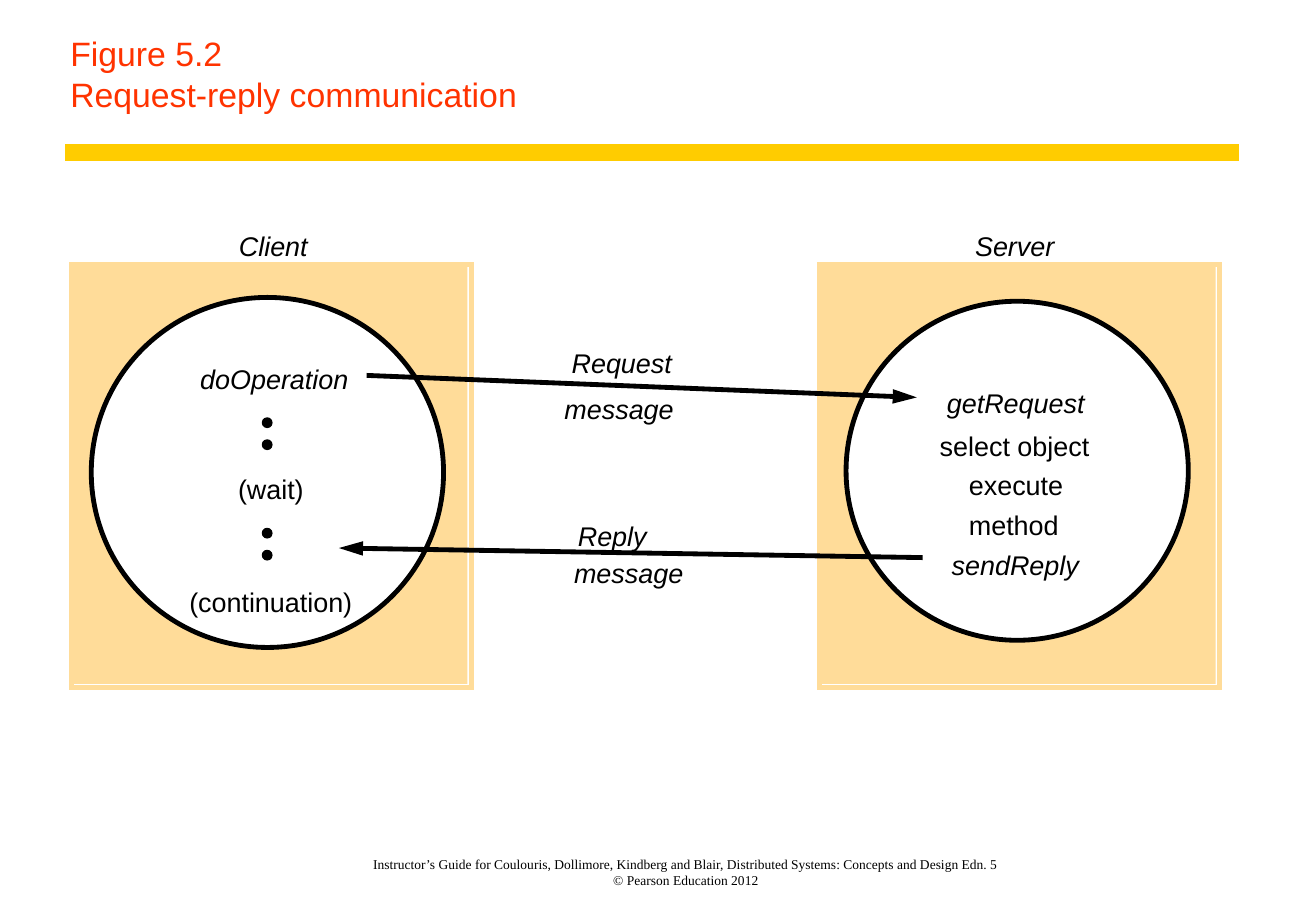
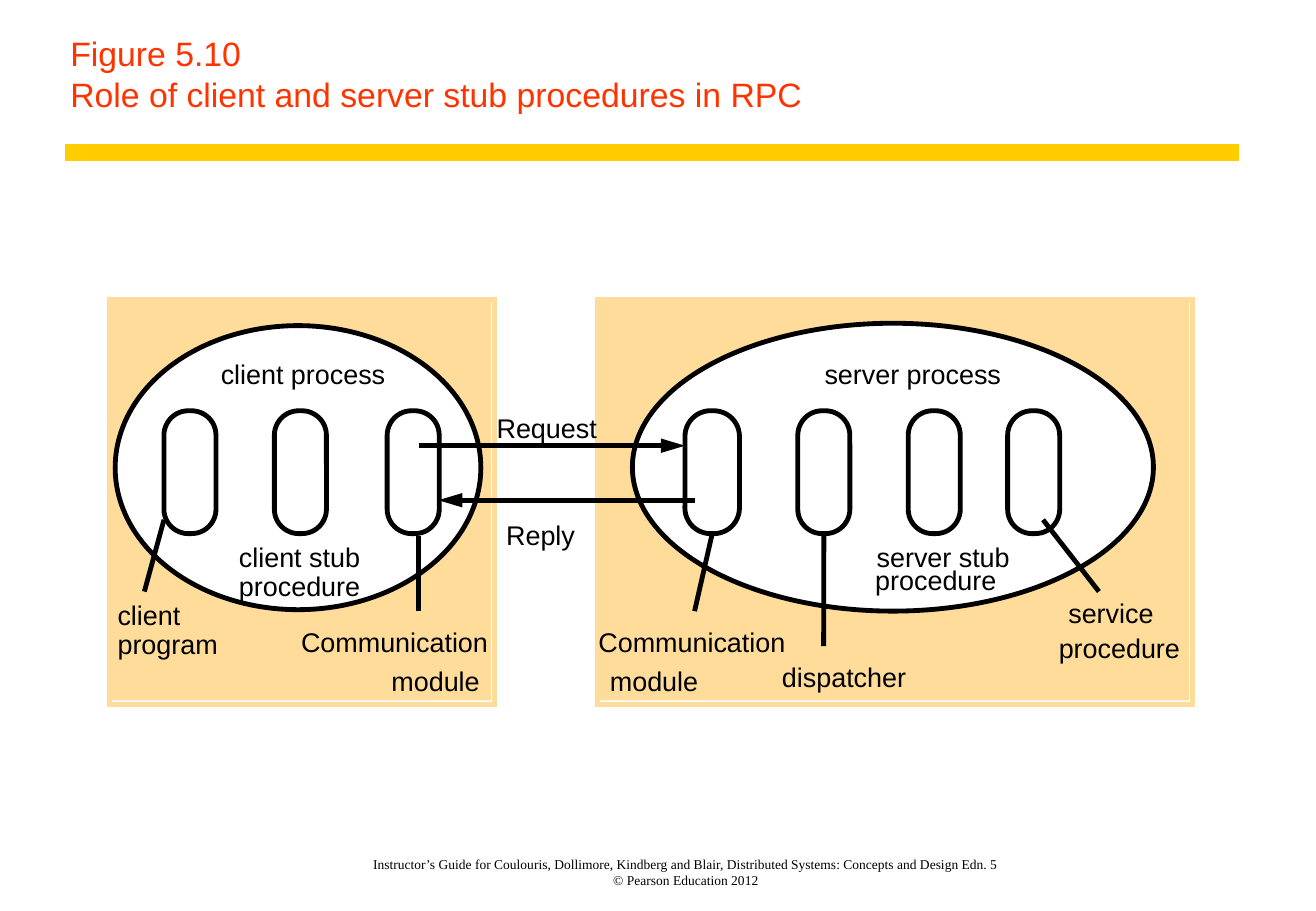
from lxml.etree import SubElement
from pptx import Presentation
from pptx.dml.color import RGBColor
from pptx.enum.shapes import MSO_CONNECTOR as Link, MSO_SHAPE as Kind
from pptx.enum.text import MSO_ANCHOR as Anchor, MSO_AUTO_SIZE as Fit, PP_ALIGN as Align
from pptx.oxml.ns import qn
from pptx.util import Cm, Pt

HUES = {"ink": "000000", "paper": "FFFFFF", "panel": "FFDC99",
        "title": "FF3300", "bar": "FFCC00"}
PEN = 2.86
SLACK = 0.2  # spare label width, so that no word breaks
FOOT = ("Instructor’s Guide for Coulouris, Dollimore, Kindberg and Blair, "
        "Distributed Systems: Concepts and Design Edn. 5\v"
        "© Pearson Education 2012")

# Content: lengths in cm; boxes are left, top, width, height
# Labels are text, left, top, width, italic; lines are start, end
CALL = {
    "title": "Figure 5.2\vRequest-reply communication",
    "panels": [(1.5, 5.54, 8.28, 8.76), (17.15, 5.54, 8.28, 8.76)],
    "ovals": [(1.91, 6.22, 7.37, 7.32), (17.7, 6.3, 7.16, 7.09)],
    "labels": [
        ("Client", 5, 4.8, 1.45, True),
        ("doOperation", 4.19, 7.59, 3.1, True),
        ("(wait)", 4.98, 9.88, 1.37, False),
        ("(continuation)", 3.96, 12.24, 3.4, False),
        ("Request", 11.96, 7.24, 2.11, True),
        ("message", 11.81, 8.2, 2.29, True),
        ("Reply", 12.09, 10.87, 1.45, True),
        ("message", 12.01, 11.63, 2.29, True),
        ("Server", 20.4, 4.8, 1.65, True),
        ("getRequest", 19.81, 8.08, 2.87, True),
        ("select object", 19.66, 8.99, 3.12, False),
        ("execute", 20.27, 9.8, 1.98, False),
        ("method", 20.27, 10.64, 1.88, False),
        ("sendReply", 19.91, 11.48, 2.67, True),
    ],
    "arrows": [((7.67, 7.85), (19.18, 8.31)), ((19.3, 11.66), (7.09, 11.46))],
}
STUBS = {
    "title": "Figure 5.10\vRole of client and server stub procedures in RPC",
    "panels": [(2.29, 6.27, 7.98, 8.38), (12.5, 6.27, 12.37, 8.38)],
    "ovals": [(13.23, 6.76, 10.9, 6.02), (2.41, 6.81, 7.65, 5.94)],
    "labels": [
        ("client process", 4.62, 7.47, 3.61, False),
        ("client stub", 5, 11.3, 2.54, False),
        ("procedure", 5, 11.91, 2.54, False),
        ("client", 2.46, 12.52, 1.47, False),
        ("program", 2.46, 13.13, 2.26, False),
        ("Communication", 6.3, 13.08, 3.91, False),
        ("module", 8.19, 13.89, 1.85, False),
        ("Request", 10.39, 8.61, 2.11, False),
        ("Reply", 10.59, 10.85, 1.45, False),
        ("server process", 17.25, 7.47, 3.86, False),
        ("server stub", 18.34, 11.3, 2.79, False),
        ("procedure", 18.31, 11.79, 2.54, False),
        ("Communication", 12.52, 13.08, 3.91, False),
        ("module", 12.76, 13.89, 1.85, False),
        ("dispatcher", 16.36, 13.82, 2.59, False),
        ("service", 22.35, 12.47, 1.93, False),
        ("procedure", 22.15, 13.21, 2.54, False),
    ],
    "arrows": [((8.76, 9.32), (14.33, 9.32)), ((14.53, 10.46), (9.17, 10.46))],
}
DOTS = [8.74, 11.05]
PILLS = [(3.43, 1.09), (5.74, 1.09), (8.1, 1.09), (14.33, 1.14),
         (16.69, 1.09), (19, 1.09), (21.08, 1.09)]
LEADS = [((3.02, 12.37), (3.43, 10.87)), ((8.76, 12.78), (8.76, 11.2)),
         ((22.99, 12.37), (21.82, 10.87))]
JOINS = [((14.53, 12.78), 3), ((17.23, 13.51), 4)]  # start, pill index


def hue(name):
    return RGBColor.from_string(HUES[name])


def write(frame, text, size=16, font="Arial", color="ink", italic=False,
          align=Align.LEFT, anchor=Anchor.TOP, pads=(0, 0, 0, 0)):
    frame.margin_left, frame.margin_top, frame.margin_right, frame.margin_bottom = map(Cm, pads)
    frame.word_wrap, frame.auto_size, frame.vertical_anchor = True, Fit.NONE, anchor
    frame.text = text
    para = frame.paragraphs[0]
    para.alignment = align
    for run in para.runs:
        face = run.font
        face.size, face.name, face.italic = Pt(size), font, italic
        face.color.rgb = hue(color)


def draw(slide, kind, box, fill=None, line=None, width=PEN):
    shape = slide.shapes.add_shape(kind, *map(Cm, box))
    shape.shadow.inherit = False
    if fill:
        shape.fill.solid()
        shape.fill.fore_color.rgb = hue(fill)
    else:
        shape.fill.background()
    if line:
        shape.line.color.rgb = hue(line)
        shape.line.width = Pt(width)
    else:
        shape.line.fill.background()
    return shape


def rule(slide, start, end, color="ink", width=PEN, arrow=False):
    link = slide.shapes.add_connector(Link.STRAIGHT, *map(Cm, start + end))
    link.line.color.rgb = hue(color)
    link.line.width = Pt(width)
    props = link._element.spPr
    if arrow:
        SubElement(props.find(qn("a:ln")), qn("a:tailEnd"),
                   type="triangle", w="med", len="lg")
    SubElement(props, qn("a:effectLst"))
    return link


def panel(slide, box):
    left, top, wide, high = box
    draw(slide, Kind.RECTANGLE, box, fill="panel")
    rim = draw(slide, Kind.RECTANGLE, (left, top, wide + 0.08, high + 0.08), line="panel")
    # Square corners
    SubElement(rim._element.spPr.find(qn("a:ln")), qn("a:miter"), lim="800000")


def build(deck, data):
    slide = deck.slides.add_slide(deck.slide_layouts[5])
    # Shared title, bar and footer
    title = slide.shapes.title
    title.left, title.top, title.width, title.height = map(Cm, (1.22, 0, 24.69, 2.54))
    write(title.text_frame, data["title"], size=20, color="title",
          anchor=Anchor.BOTTOM, pads=(0.25, 0.15, 0.36, 0.15))
    rule(slide, (1.37, 3.18), (25.91, 3.18), color="bar", width=10)
    foot = slide.shapes.add_textbox(*map(Cm, (5.97, 17.58, 16.76, 0.99)))
    write(foot.text_frame, FOOT, size=8, font="Times New Roman",
          align=Align.CENTER, anchor=Anchor.BOTTOM)
    # Diagram
    for box in data["panels"]:
        panel(slide, box)
    for box in data["ovals"]:
        draw(slide, Kind.OVAL, box, fill="paper", line="ink")
    for text, left, top, wide, italic in data["labels"]:
        label = slide.shapes.add_textbox(*map(Cm, (left, top, wide + SLACK, 0.69)))
        write(label.text_frame, text, italic=italic)
    for start, end in data["arrows"]:
        rule(slide, start, end, arrow=True)
    return slide


def main():
    deck = Presentation()
    deck.slide_width, deck.slide_height = Cm(27.53), Cm(19.05)

    # Request and reply, with pairs of waiting dots
    slide = build(deck, CALL)
    for top in DOTS:
        for step in range(2):
            draw(slide, Kind.OVAL, (5.49, top + step * 0.46, 0.2, 0.2),
                 fill="ink", line="ink", width=0.75)

    # Stub procedures, with pills and their leader lines
    slide = build(deck, STUBS)
    pills = []
    for left, wide in PILLS:
        pill = draw(slide, Kind.ROUNDED_RECTANGLE, (left, 8.59, wide, 2.57), line="ink")
        pill.adjustments[0] = 0.47
        pills.append(pill)
    for start, end in LEADS:
        rule(slide, start, end)
    for start, spot in JOINS:
        rule(slide, start, start).end_connect(pills[spot], 2)

    deck.save("out.pptx")


if __name__ == "__main__":
    main()
